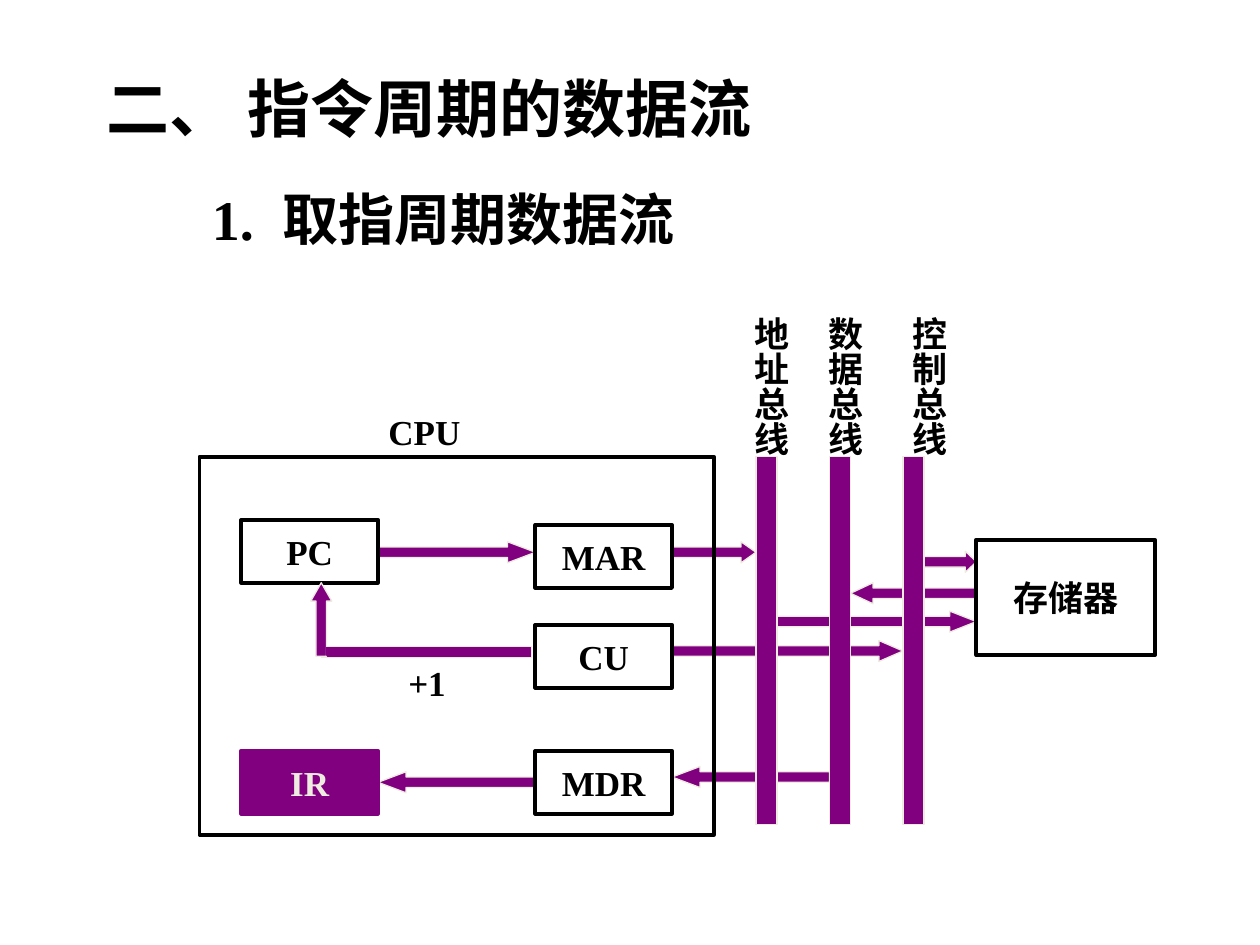
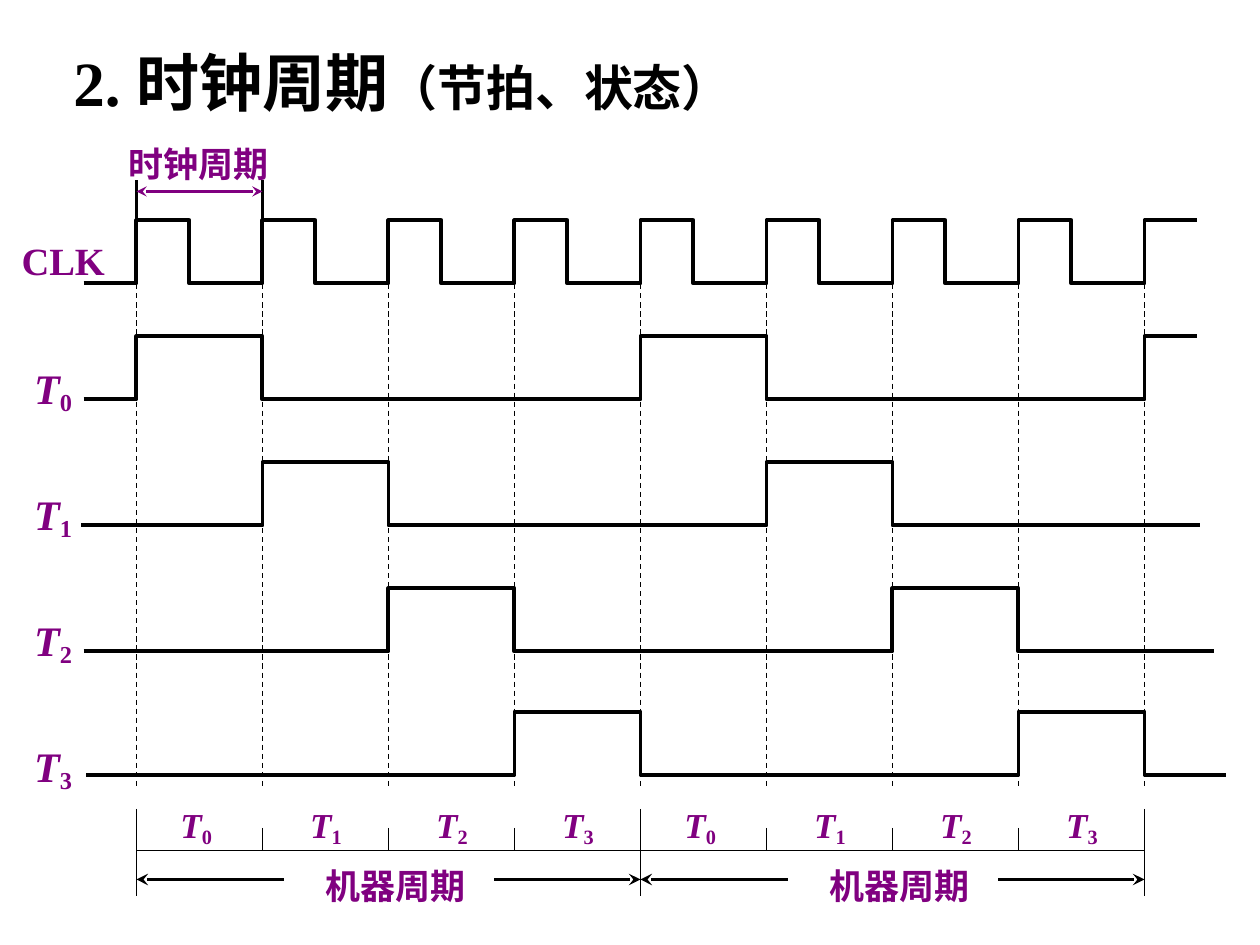
from dataclasses import dataclass

from lxml import etree
from pptx import Presentation
from pptx.dml.color import RGBColor
from pptx.enum.dml import MSO_LINE
from pptx.enum.shapes import MSO_CONNECTOR, MSO_SHAPE
from pptx.enum.text import MSO_ANCHOR, MSO_AUTO_SIZE, PP_ALIGN
from pptx.oxml.ns import qn
from pptx.util import Inches, Pt

BLACK = RGBColor(0x00, 0x00, 0x00)
PURPLE = RGBColor(0x80, 0x00, 0x80)
CREAM = RGBColor(0xEE, 0xEC, 0xE1)
FONT = "Times New Roman"
TITLE_SIZE, SUBTITLE_SIZE, NOTE_SIZE, LABEL_SIZE = 36, 32, 28, 20
THICK, MEDIUM, THIN = 2.25, 1.5, 0.75

RECTANGLE = MSO_SHAPE.RECTANGLE
RIGHT_ARROW = MSO_SHAPE.RIGHT_ARROW
UP_ARROW = MSO_SHAPE.UP_ARROW
STRAIGHT = MSO_CONNECTOR.STRAIGHT
DASH = MSO_LINE.DASH
CENTER = PP_ALIGN.CENTER
MIDDLE = MSO_ANCHOR.MIDDLE
FIT_SHAPE = MSO_AUTO_SIZE.SHAPE_TO_FIT_TEXT


@dataclass
class Grid:
    """A region of a slide: its corner and the size of one square cell, in inches."""
    left: float
    top: float
    cell: float

    def point(self, column, row):
        """Turn a column and a row into a slide position."""
        return Inches(self.left + column * self.cell), Inches(self.top + row * self.cell)

    def box(self, column, row, columns, rows):
        """Turn a block of cells into left, top, width and height."""
        return (*self.point(column, row), Inches(columns * self.cell), Inches(rows * self.cell))


PAGE = Grid(0, 0, 1 / 12)


def add_run(paragraph, text, size, color=BLACK):
    """Add a bold run in the deck's font."""
    run = paragraph.add_run()
    run.text = text
    run.font.name, run.font.size, run.font.bold = FONT, Pt(size), True
    run.font.color.rgb = color
    return run


def add_text(slide, box, text, size=LABEL_SIZE, color=BLACK, wrap=False, vertical=False):
    """Add a text box and return its paragraph."""
    frame = slide.shapes.add_textbox(*box).text_frame
    frame.word_wrap = wrap
    frame.auto_size = FIT_SHAPE
    if vertical:
        frame._txBody.bodyPr.set("vert", "eaVert")
    paragraph = frame.paragraphs[0]
    add_run(paragraph, text, size, color)
    return paragraph


def add_phase_name(slide, box, phase, size):
    """Add an italic T with the phase number as its subscript."""
    paragraph = add_text(slide, box, "T", size, PURPLE)
    paragraph.runs[0].font.italic = True
    number = add_run(paragraph, str(phase), size, PURPLE)
    number.font._element.set("baseline", "-15000")


def add_block(slide, kind, box, fill=PURPLE, line=CREAM, width=THIN):
    """Add a flat preset shape; a fill of None leaves it hollow."""
    shape = slide.shapes.add_shape(kind, *box)
    shape.shadow.inherit = False
    if fill is None:
        shape.fill.background()
    else:
        shape.fill.solid()
        shape.fill.fore_color.rgb = fill
    shape.line.color.rgb = line
    shape.line.width = Pt(width)
    return shape


def add_unit(slide, box, name, fill=None, line=BLACK, color=BLACK):
    """Add a named hardware unit with centred text."""
    frame = add_block(slide, RECTANGLE, box, fill, line, THICK).text_frame
    frame.word_wrap = False
    frame.vertical_anchor = MIDDLE
    frame.paragraphs[0].alignment = CENTER
    add_run(frame.paragraphs[0], name, LABEL_SIZE, color)


def add_line(slide, start, end, width=THIN, color=BLACK, dashed=False, heads=()):
    """Add a straight line; heads lists the ends that carry an arrowhead."""
    line = slide.shapes.add_connector(STRAIGHT, *start, *end)
    line.line.color.rgb = color
    line.line.width = Pt(width)
    if dashed:
        line.line.dash_style = DASH
    properties = line._element.spPr
    for head in heads:
        etree.SubElement(properties.find(qn("a:ln")), qn("a:" + head), type="stealth")
    etree.SubElement(properties, qn("a:effectLst"))


def draw_increment_path(slide, grid):
    """Draw the bent arrow that adds one to the program counter."""
    add_block(slide, RECTANGLE, grid.box(11.6, 32.6, 20, 1))
    arrow = add_block(slide, UP_ARROW, grid.box(10.6, 26.5, 2, 7))
    arrow.adjustments[1] = 0.875
    add_text(slide, grid.box(18.7, 33.4, 21, 5.2), "+1", wrap=True)
    add_block(slide, RECTANGLE, grid.box(12.1, 32.7, 0.5, 0.7), line=PURPLE)


def draw_fetch_flow(slide, grid):
    """Draw the CPU, the three buses, the memory and the arrows between them."""
    # column, row, length, head share, points left
    arrows = [
        (17, 44.5, 15, 1.33, True), (17, 22.6, 15, 1.33, False),
        (45, 22.6, 8, 0.71, False), (45, 44, 15, 1.33, True),
        (45, 32, 22, 1.15, False), (55, 29.2, 19, 1.27, False),
        (62, 26.5, 12, 1.07, True), (68, 23.5, 6, 0.53, False),
    ]
    for column, row, length, head, points_left in arrows:
        arrow = add_block(slide, RIGHT_ARROW, grid.box(column, row, length, 2))
        arrow.adjustments[1] = head
        arrow.rotation = 180 if points_left else 0

    for name, column, row in [("MDR", 32, 42.5), ("CU", 32, 30.5),
                              ("MAR", 32, 21), ("PC", 4, 20.5)]:
        add_unit(slide, grid.box(column, row, 13, 6), name)
    add_block(slide, RECTANGLE, grid.box(0, 14.5, 49, 36), None, BLACK, THICK)
    add_text(slide, grid.box(16.8, 9.5, 10, 5.2), "CPU")

    buses = [("地址总线", 53, 50.6), ("数据总线", 60, 57.6), ("控制总线", 67, 65.6)]
    for name, column, name_column in buses:
        add_block(slide, RECTANGLE, grid.box(column, 14.5, 2, 35))
        add_text(slide, grid.box(name_column, 0, 6.4, 14.5), name, vertical=True)
    add_unit(slide, grid.box(74, 22.4, 17, 11), "存储器")
    add_unit(slide, grid.box(4, 42.5, 13, 6), "IR", PURPLE, PURPLE, CREAM)
    draw_increment_path(slide, grid)


def draw_wave(slide, grid, top, pulses, start=-0.42, end=8.42):
    """Draw a square wave, half a cell high, from its (rise, fall) pairs."""
    low = top + 0.5
    corners = [(start, low)]
    for rise, fall in pulses:
        corners += [(rise, low), (rise, top), (min(fall, end), top)]
        if fall < end:
            corners.append((fall, low))
    if corners[-1][0] < end:
        corners.append((end, low))
    points = [grid.point(*corner) for corner in corners]
    builder = slide.shapes.build_freeform(*points[0])
    builder.add_line_segments(points[1:], close=False)
    wave = builder.convert_to_shape()
    wave.shadow.inherit = False
    wave.fill.background()
    wave.line.color.rgb = BLACK
    wave.line.width = Pt(THICK)


def draw_signals(slide, grid):
    """Draw the clock, the four phase signals and the dashed period guides."""
    phases = [(0.92, -0.42, 8.42), (1.92, -0.44, 8.44),
              (2.92, -0.42, 8.55), (3.9, -0.4, 8.65)]
    for phase, (top, start, end) in enumerate(phases):
        pulses = [(rise, rise + 1) for rise in range(phase, 9, 4)]
        draw_wave(slide, grid, top, pulses, start, end)
        add_phase_name(slide, grid.box(-0.91, 1.08 + phase, 0.52, 0.5), phase, 24)
    add_text(slide, grid.box(-1.01, 0.08, 0.86, 0.47), "CLK", 22, PURPLE)
    draw_wave(slide, grid, 0, [(rise, rise + 0.42) for rise in range(9)])
    for column in range(9):
        add_line(slide, grid.point(column, 0.22), grid.point(column, 4.5), dashed=True)


def draw_clock_period(slide, grid):
    """Mark the length of one clock period above the clock."""
    for column in (0, 1):
        add_line(slide, grid.point(column, -0.32), grid.point(column, 0.02), MEDIUM)
    add_line(slide, grid.point(0, -0.23), grid.point(1, -0.23), MEDIUM, PURPLE,
             heads=("headEnd", "tailEnd"))
    add_text(slide, grid.box(-0.16, -0.67, 1.32, 0.43), "时钟周期", color=PURPLE)


def draw_machine_cycles(slide, grid):
    """Draw the bottom scale with its phases and two machine cycles."""
    add_line(slide, grid.point(0, 5), grid.point(8, 5))
    for column in range(9):
        first, last = (4.67, 5.36) if column % 4 == 0 else (4.82, 5)
        add_line(slide, grid.point(column, first), grid.point(column, last))
    for column in range(8):
        phase = column % 4
        indent = 0.28 if phase else 0.25
        add_phase_name(slide, grid.box(column + indent, 4.58, 0.46, 0.43), phase, LABEL_SIZE)
    for column in (0, 4):
        for start, end in [(2.84, 4), (1.17, 0)]:
            add_line(slide, grid.point(column + start, 5.23), grid.point(column + end, 5.23),
                     THICK, heads=("tailEnd",))
        add_text(slide, grid.box(column + 1.4, 5.06, 1.32, 0.43), "机器周期", color=PURPLE)


def build_fetch_slide(slide):
    """Build the slide on the data flow of the fetch cycle."""
    subtitle = add_text(slide, PAGE.box(19, 17, 75, 7.6), "1.", SUBTITLE_SIZE, wrap=True)
    gap = add_run(subtitle, " ", SUBTITLE_SIZE)
    gap.font._element.set("spc", "800")
    add_run(subtitle, "取指周期数据流", SUBTITLE_SIZE)
    add_text(slide, PAGE.box(9, 6, 75, 8.4), "二、 指令周期的数据流", TITLE_SIZE, wrap=True)
    draw_fetch_flow(slide, Grid(19 / 12, 29 / 12, 1 / 12))


def build_clock_slide(slide):
    """Build the slide with the clock timing diagram."""
    grid = Grid(13 / 12, 1.75, 1)
    draw_signals(slide, grid)
    draw_clock_period(slide, grid)
    title = add_text(slide, PAGE.box(5.8, 3.6, 66.8, 8.4), "2. 时钟周期", TITLE_SIZE, wrap=True)
    add_run(title, "（节拍、状态）", NOTE_SIZE)
    draw_machine_cycles(slide, grid)


def main():
    """Build and save the presentation."""
    presentation = Presentation()
    presentation.slide_width, presentation.slide_height = Inches(10), Inches(7.5)
    blank = presentation.slide_layouts[6]
    for build in (build_fetch_slide, build_clock_slide):
        build(presentation.slides.add_slide(blank))
    presentation.save("out.pptx")


main()
